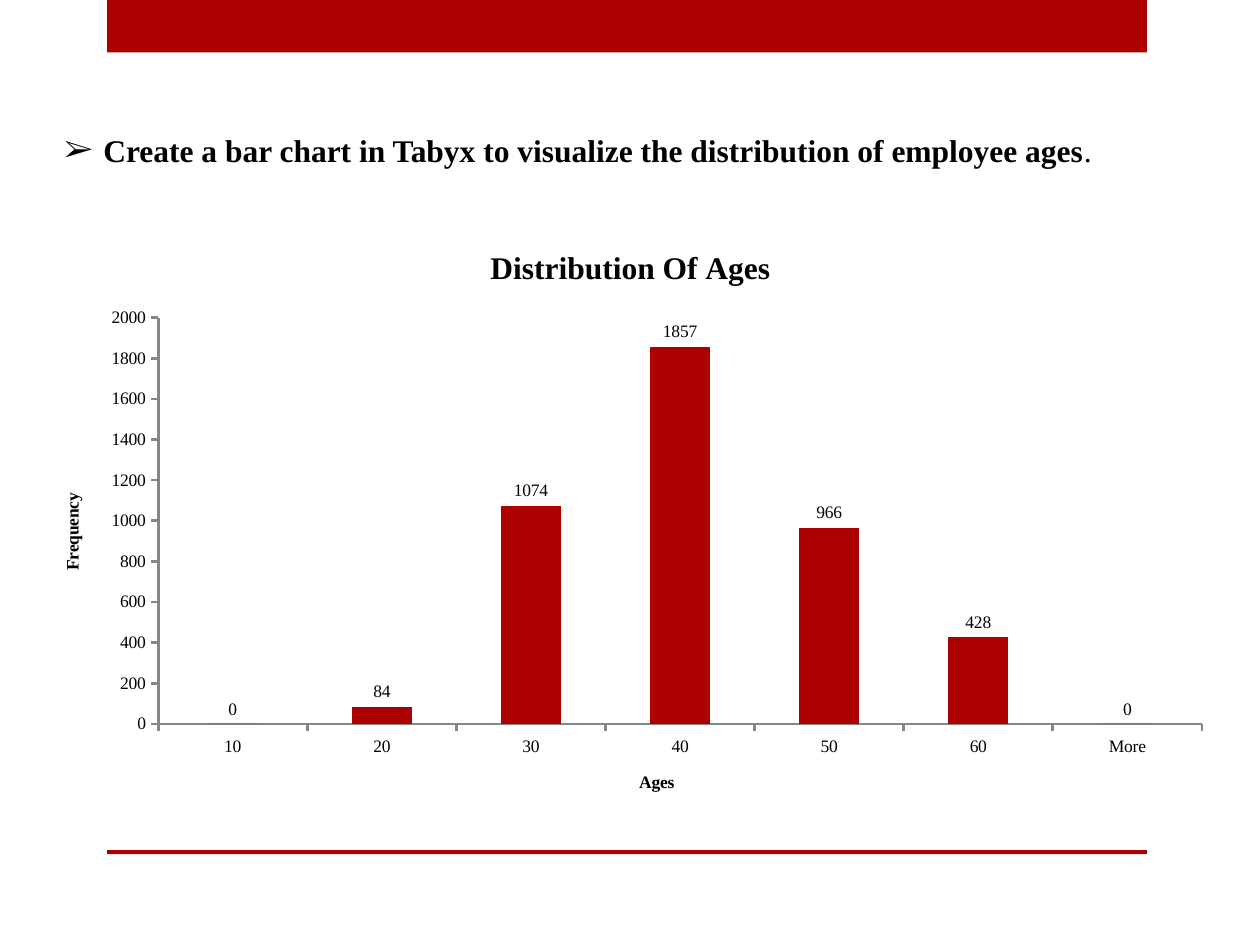
from lxml import etree
from pptx import Presentation
from pptx import util as u
from pptx.chart.data import CategoryChartData
from pptx.dml.color import RGBColor
from pptx.enum import chart as ch, shapes, text
from pptx.oxml.ns import qn

# Content
HEAD = [
    ("Create a bar chart in Tabyx to visualize the distribution of employee ages", True),
    (".", False),
]
TITLE = "Distribution Of Ages"
AGES = {"10": 0, "20": 84, "30": 1074, "40": 1857, "50": 966, "60": 428, "More": 0}
AXES = {"cat": "Ages", "val": "Frequency"}
HUES = {"red": "AD0101", "ink": "000000", "axis": "868686"}
FACE = "Times New Roman"

# Bands: top and height in cm
LEFT, WIDE = 2.16, 20.96
BANDS = [(0, 1.06), (17.14, 0.08)]


def hue(name):
    return RGBColor.from_string(HUES[name])


def style(font, size, bold=False):
    font.name = FACE
    font.size = u.Pt(size)
    font.bold = bold
    font.color.rgb = hue("ink")


def label(frame, words, size):
    frame.text = words
    style(frame.paragraphs[0].font, size, True)


deck = Presentation()
deck.slide_width, deck.slide_height = u.Cm(25.4), u.Cm(19.05)
slide = deck.slides.add_slide(deck.slide_layouts[5])

# Red bands at the top and bottom
for top, high in BANDS:
    band = slide.shapes.add_shape(
        shapes.MSO_SHAPE.RECTANGLE, u.Cm(LEFT), u.Cm(top), u.Cm(WIDE), u.Cm(high))
    band.shadow.inherit = False
    band.fill.solid()
    band.fill.fore_color.rgb = hue("red")
    band.line.fill.background()

# Heading with an arrow bullet
head = slide.shapes.title
head.left, head.top, head.width, head.height = map(u.Cm, (1.04, 2.51, 21.26, 1.03))
frame = head.text_frame
frame.word_wrap = False
frame.auto_size = text.MSO_AUTO_SIZE.SHAPE_TO_FIT_TEXT
frame.vertical_anchor = text.MSO_ANCHOR.TOP
para = frame.paragraphs[0]
para.alignment = text.PP_ALIGN.LEFT
for words, bold in HEAD:
    run = para.add_run()
    run.text = words
    style(run.font, 18, bold)
props = para._p.get_or_add_pPr()
props.set("marL", str(u.Cm(0.79)))
props.set("indent", str(-u.Cm(0.79)))
etree.SubElement(props, qn("a:buFont"), typeface=FACE)
etree.SubElement(props, qn("a:buChar"), char="➢")

# Column chart of ages
data = CategoryChartData()
data.categories = list(AGES)
data.add_series("Series 1", list(AGES.values()))
chart = slide.shapes.add_chart(
    ch.XL_CHART_TYPE.COLUMN_CLUSTERED,
    u.Cm(0.71), u.Cm(4.52), u.Cm(24), u.Cm(11.99), data).chart
style(chart.font, 10)
chart.has_legend = False
chart.has_title = True
label(chart.chart_title.text_frame, TITLE, 18)
chart.chart_title.include_in_layout = False

plot = chart.plots[0]
plot.vary_by_categories = False
plot.gap_width = 150
plot.has_data_labels = True
tags = plot.data_labels
tags.show_value = True
tags.position = ch.XL_LABEL_POSITION.OUTSIDE_END
style(tags.font, 10)
fill = plot.series[0].format.fill
fill.solid()
fill.fore_color.rgb = hue("red")

# Axes
for axis, name in ((chart.category_axis, "cat"), (chart.value_axis, "val")):
    axis.has_major_gridlines = False
    axis.major_tick_mark = ch.XL_TICK_MARK.OUTSIDE
    axis.format.line.color.rgb = hue("axis")
    axis.format.line.width = u.Pt(1.5)
    style(axis.tick_labels.font, 10)
    label(axis.axis_title.text_frame, AXES[name], 10)
chart.value_axis.minimum_scale = 0
chart.value_axis.maximum_scale = 2000
chart.value_axis.major_unit = 200

deck.save("out.pptx")
